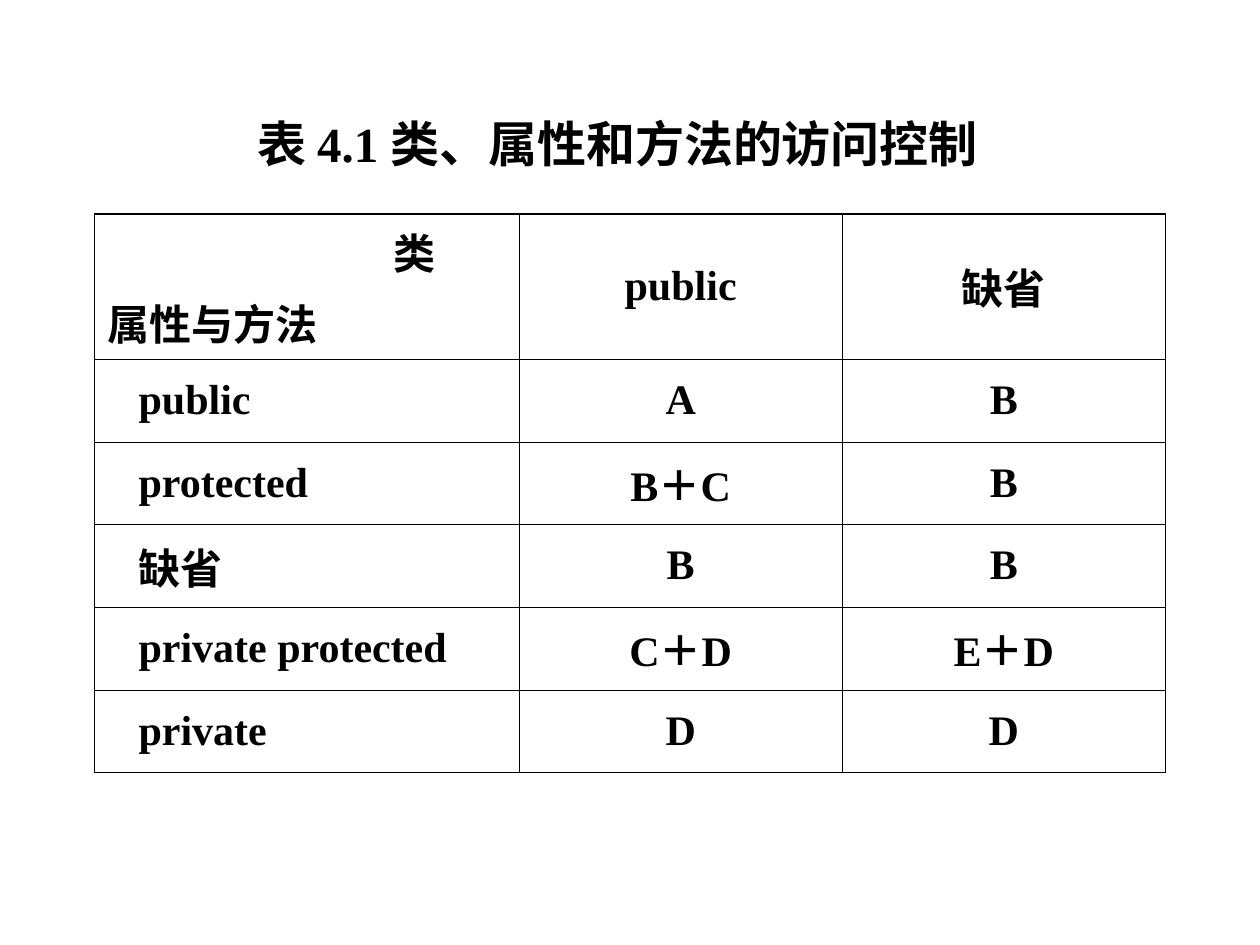
from typing import NamedTuple

from lxml import etree
from pptx import Presentation
from pptx import util as u
from pptx.dml.color import RGBColor
from pptx.enum import text
from pptx.oxml import ns

BLACK = RGBColor(0, 0, 0)
FACE = "Times New Roman"
WIDE, HIGH = u.Inches(10), u.Inches(7.5)
COLS = (3.37, 2.565, 2.565)
HEAD, STEP = 1.15, 0.656
THICK, THIN, HAIR = 1.08, 0.45, 0.34
PAD, INDENT, SHIFT = 0.1, 0.25, 2.27


class Row(NamedTuple):
    name: str
    public: str
    default: str


ROWS = [
    Row("类\n属性与方法", "public", "缺省"),
    Row("public", "A", "B"),
    Row("protected", "B＋C", "B"),
    Row("缺省", "B", "B"),
    Row("private protected", "C＋D", "E＋D"),
    Row("private", "D", "D"),
]


def style(para, size: float, align) -> None:
    para.alignment = align
    font = para.font
    font.name, font.size, font.bold = FACE, u.Pt(size), True
    font.color.rgb = BLACK


def edge(cell, side: str, width: float) -> None:
    line = etree.SubElement(cell._tc.get_or_add_tcPr(), ns.qn("a:ln" + side),
                            w=str(u.Pt(width)))
    fill = etree.SubElement(line, ns.qn("a:solidFill"))
    etree.SubElement(fill, ns.qn("a:srgbClr"), val=str(BLACK))


def frame(cell, row: int, col: int) -> None:
    last = len(ROWS) - 1
    inner = THIN if row == 0 else HAIR
    edge(cell, "L", THICK if col == 0 else inner)
    edge(cell, "R", THICK if col == len(COLS) - 1 else inner)
    edge(cell, "T", THICK if row == 0 else THIN if row == 1 else HAIR)
    edge(cell, "B", THICK if row == last else inner)
    cell.fill.background()


def write(cell, words: str, row: int, col: int) -> None:
    cell.text = words
    cell.vertical_anchor = text.MSO_ANCHOR.MIDDLE
    left = col == 0
    cell.margin_left = u.Inches(PAD + INDENT if left and row else PAD)
    for para in cell.text_frame.paragraphs:
        style(para, 24, text.PP_ALIGN.LEFT if left else text.PP_ALIGN.CENTER)


def title(slide) -> None:
    box = slide.shapes.title
    box.left, box.top = int(WIDE * 0.035), int(HIGH * 0.12)
    box.width, box.height = int(WIDE * 0.91), int(HIGH * 0.075)
    body = box.text_frame
    body.text = "表 4.1 类、属性和方法的访问控制"
    body.auto_size = text.MSO_AUTO_SIZE.NONE
    body.vertical_anchor = text.MSO_ANCHOR.TOP
    para = body.paragraphs[0]
    para.line_spacing = 0.9
    style(para, 28, text.PP_ALIGN.CENTER)


def grid(slide) -> None:
    high = HEAD + STEP * (len(ROWS) - 1)
    table = slide.shapes.add_table(
        len(ROWS), len(COLS), int(WIDE * 0.075), u.Inches(1.7),
        u.Inches(sum(COLS)), u.Inches(high)).table
    table.first_row = table.horz_banding = False
    for col, width in zip(table.columns, COLS):
        col.width = u.Inches(width)
    for r, row in enumerate(ROWS):
        table.rows[r].height = u.Inches(STEP if r else HEAD)
        for c, words in enumerate(row):
            cell = table.cell(r, c)
            write(cell, words, r, c)
            frame(cell, r, c)
    top, low = table.cell(0, 0).text_frame.paragraphs
    top._p.get_or_add_pPr().set("marL", str(u.Inches(SHIFT)))
    low.space_before = u.Pt(6)


def main() -> None:
    deck = Presentation()
    deck.slide_width, deck.slide_height = WIDE, HIGH
    slide = deck.slides.add_slide(deck.slide_layouts[5])
    title(slide)
    grid(slide)
    deck.save("out.pptx")


if __name__ == "__main__":
    main()
